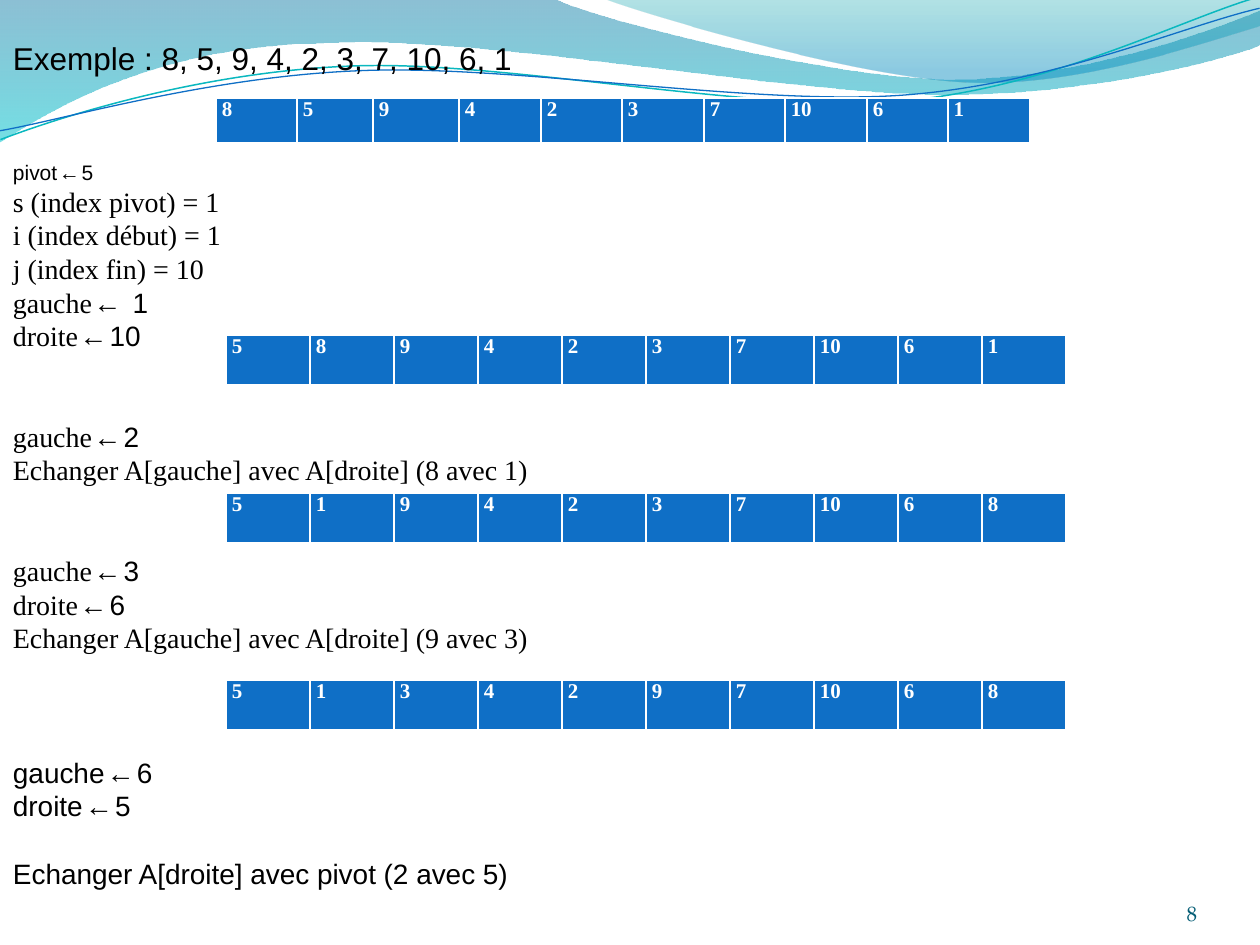
from dataclasses import dataclass

from lxml import etree
from pptx import Presentation
from pptx.dml.color import RGBColor
from pptx.enum.text import MSO_ANCHOR, PP_ALIGN
from pptx.oxml.ns import qn
from pptx.util import Emu, Pt

TOP, BOTTOM, RIGHT = MSO_ANCHOR.TOP, MSO_ANCHOR.BOTTOM, PP_ALIGN.RIGHT
PX = 914400 / 126
SANS, SERIF, MONO = "Arial", "Times New Roman", "Courier New"
BLACK, WHITE, BLUE = "000000", "FFFFFF", "0F6FC6"
LINE_HEIGHT = 19.2


@dataclass
class Wave:
    start: tuple
    pieces: list  # two numbers: straight line; six numbers: Bezier curve
    stops: tuple = ()  # position, colour, opacity in percent
    line: tuple = ()  # colour, width in points
    rotation: float = 0


@dataclass
class Line:
    runs: list  # text and font
    skipped: float = 0  # empty lines above
    size: int = 16
    height: float = LINE_HEIGHT


@dataclass
class Row:
    left: int
    top: int
    height: int
    widths: tuple
    values: tuple


def px(length: float) -> Emu:
    return Emu(round(length * PX))


def rgb(colour: str) -> RGBColor:
    return RGBColor.from_string(colour)


def bend(shape, pieces: list) -> None:
    """Turn each three segments that stand for a curve into one Bezier."""
    segments = iter(list(shape.element.iter(qn("a:lnTo"))))
    for piece in pieces:
        first = next(segments)
        if len(piece) == 6:
            first.tag = qn("a:cubicBezTo")
            curve = etree.Element(qn("a:cubicBezTo"))
            first.addprevious(curve)
            for segment in (first, next(segments), next(segments)):
                curve.append(segment[0])
                segment.getparent().remove(segment)


def draw_wave(wave: Wave) -> None:
    points = [piece[k:k + 2] for piece in wave.pieces for k in range(0, len(piece), 2)]
    builder = slide.shapes.build_freeform(*map(px, wave.start))
    builder.add_line_segments([(px(x), px(y)) for x, y in points], close=bool(wave.stops))
    shape = builder.convert_to_shape()
    bend(shape, wave.pieces)
    shape.rotation = wave.rotation
    shape.shadow.inherit = False
    if wave.line:
        colour, width = wave.line
        shape.fill.background()
        shape.line.color.rgb = rgb(colour)
        shape.line.width = Pt(width)
        return
    shape.line.fill.background()
    shape.fill.gradient()
    shape.fill.gradient_angle = 270
    for stop, (position, colour, _) in zip(shape.fill.gradient_stops, wave.stops):
        stop.position = position / 100
        stop.color.rgb = rgb(colour)
    colours = shape.element.spPr.iter(qn("a:srgbClr"))
    for element, (_, _, opacity) in zip(colours, wave.stops):
        etree.SubElement(element, qn("a:alpha"), val=str(opacity * 1000))


def add_frame(left: int, top: int, width: int, height: int, anchor, inset: tuple = (0, 0)):
    frame = slide.shapes.add_textbox(px(left), px(top), px(width), px(height)).text_frame
    frame.word_wrap = True
    frame.vertical_anchor = anchor
    frame.margin_left = frame.margin_right = px(inset[0])
    frame.margin_top = frame.margin_bottom = px(inset[1])
    return frame


def style(font, size: float, name: str, colour: str, bold: bool = False) -> None:
    font.size, font.name, font.bold = Pt(size), name, bold
    font.color.rgb = rgb(colour)


def write_line(paragraph, line: Line) -> None:
    paragraph.line_spacing = Pt(line.height)
    paragraph.space_before = Pt(line.skipped * LINE_HEIGHT)
    style(paragraph.font, line.size, line.runs[0][1], BLACK)
    for text, name in line.runs:
        run = paragraph.add_run()
        run.text = text
        if len(line.runs) > 1:
            run.font.name = name


def assign(name: str, value: int, font: str = SERIF, skipped: float = 0) -> Line:
    return Line([(f"{name} ", font), ("←", MONO), (f" {value}", SANS)], skipped)


def set_borders(cell) -> None:
    properties = cell._tc.get_or_add_tcPr()
    for index, (side, width) in enumerate((("L", 1), ("R", 1), ("T", 1), ("B", 3))):
        border = etree.Element(qn(f"a:ln{side}"), w=str(Pt(width)))
        fill = etree.SubElement(border, qn("a:solidFill"))
        etree.SubElement(fill, qn("a:srgbClr"), val=WHITE)
        properties.insert(index, border)


def draw_row(row: Row) -> None:
    table = slide.shapes.add_table(1, len(row.values), px(row.left), px(row.top),
                                   px(sum(row.widths)), px(row.height)).table
    table.rows[0].height = px(row.height)
    for column, width, cell, value in zip(table.columns, row.widths,
                                          table.rows[0].cells, row.values):
        column.width = px(width)
        cell.margin_left = cell.margin_right = px(6)
        cell.margin_top = cell.margin_bottom = 0
        cell.fill.solid()
        cell.fill.fore_color.rgb = rgb(BLUE)
        set_borders(cell)
        paragraph = cell.text_frame.paragraphs[0]
        paragraph.text = str(value)
        style(paragraph.font, 12, SERIF, WHITE, True)


presentation = Presentation()
presentation.slide_width, presentation.slide_height = px(1260), px(945)
slide = presentation.slides.add_slide(presentation.slide_layouts[6])

# Waves along the top
WAVES = [
    Wave((0, 0), [(554, -1), (600, 21, 837, 79, 955, 79), (1074, 79, 1207, 33, 1260, 11),
                  (1261, 45), (1239, 55, 1096, 96, 940, 94), (784, 94, 481, 35, 324, 43),
                  (163, 45, 58, 105, -1, 142), (0, 0)],
         stops=((0, "0074A1", 45), (100, "00C6CF", 55))),
    Wave((604, -1), [(641, 14, 859, 78, 969, 82), (1079, 87, 1211, 40, 1260, 26),
                     (1260, 0), (604, -1)],
         stops=((0, "00A1A9", 30), (80, "008BBF", 45))),
    Wave((-2, 110), [(59, 90, 200, 52, 350, 53), (499, 53, 745, 118, 896, 114),
                     (1048, 109, 1184, 45, 1260, 27)], line=("0AB8BF", 0.85), rotation=357.3),
    Wave((-2, 101), [(57, 94, 207, 57, 358, 58), (509, 58, 750, 112, 902, 108),
                     (1052, 104, 1185, 52, 1262, 38)], line=(BLUE, 0.75), rotation=357.3),
]
for wave in WAVES:
    draw_wave(wave)

# Slide number
number = add_frame(1092, 876, 105, 50, BOTTOM).paragraphs[0]
number.text = "8"
number.alignment = RIGHT
style(number.font, 12, "TeX Gyre Pagella", "045D75")

# Steps of the partition
STEPS = [
    Line([("Exemple : 8, 5, 9, 4, 2, 3, 7, 10, 6, 1", SANS)], size=18, height=21.6),
    Line([("pivot ", SANS), ("←", MONO), (" 5", SANS)], 2.45, 12, 14.4),
    Line([("s (index pivot) = 1", SERIF)]),
    Line([("i (index début) = 1", SERIF)]),
    Line([("j (index fin) = 10", SERIF)]),
    Line([("gauche ", SERIF), ("← ", MONO), ("1", SANS)]),
    assign("droite", 10),
    assign("gauche", 2, skipped=2),
    Line([("Echanger A[gauche] avec A[droite] (8 avec 1)", SERIF)]),
    assign("gauche", 3, skipped=2),
    assign("droite", 6),
    Line([("Echanger A[gauche] avec A[droite] (9 avec 3)", SERIF)]),
    assign("gauche", 6, SANS, 3),
    assign("droite", 5, SANS),
    Line([("Echanger A[droite] avec pivot (2 avec 5)", SANS)], 1),
]
steps = add_frame(0, 20, 1260, 1016, TOP, (13, 19))
for position, line in enumerate(STEPS):
    write_line(steps.add_paragraph() if position else steps.paragraphs[0], line)

# Array after each step
EVEN = (84,) * 10
ROWS = [
    Row(216, 98, 46, (81, 76, 86, 82, 81, 82, 81, 82, 81, 82), (8, 5, 9, 4, 2, 3, 7, 10, 6, 1)),
    Row(226, 335, 51, EVEN, (5, 8, 9, 4, 2, 3, 7, 10, 6, 1)),
    Row(226, 493, 51, EVEN, (5, 1, 9, 4, 2, 3, 7, 10, 6, 8)),
    Row(226, 680, 51, EVEN, (5, 1, 3, 4, 2, 9, 7, 10, 6, 8)),
]
for row in ROWS:
    draw_row(row)

presentation.save("out.pptx")
